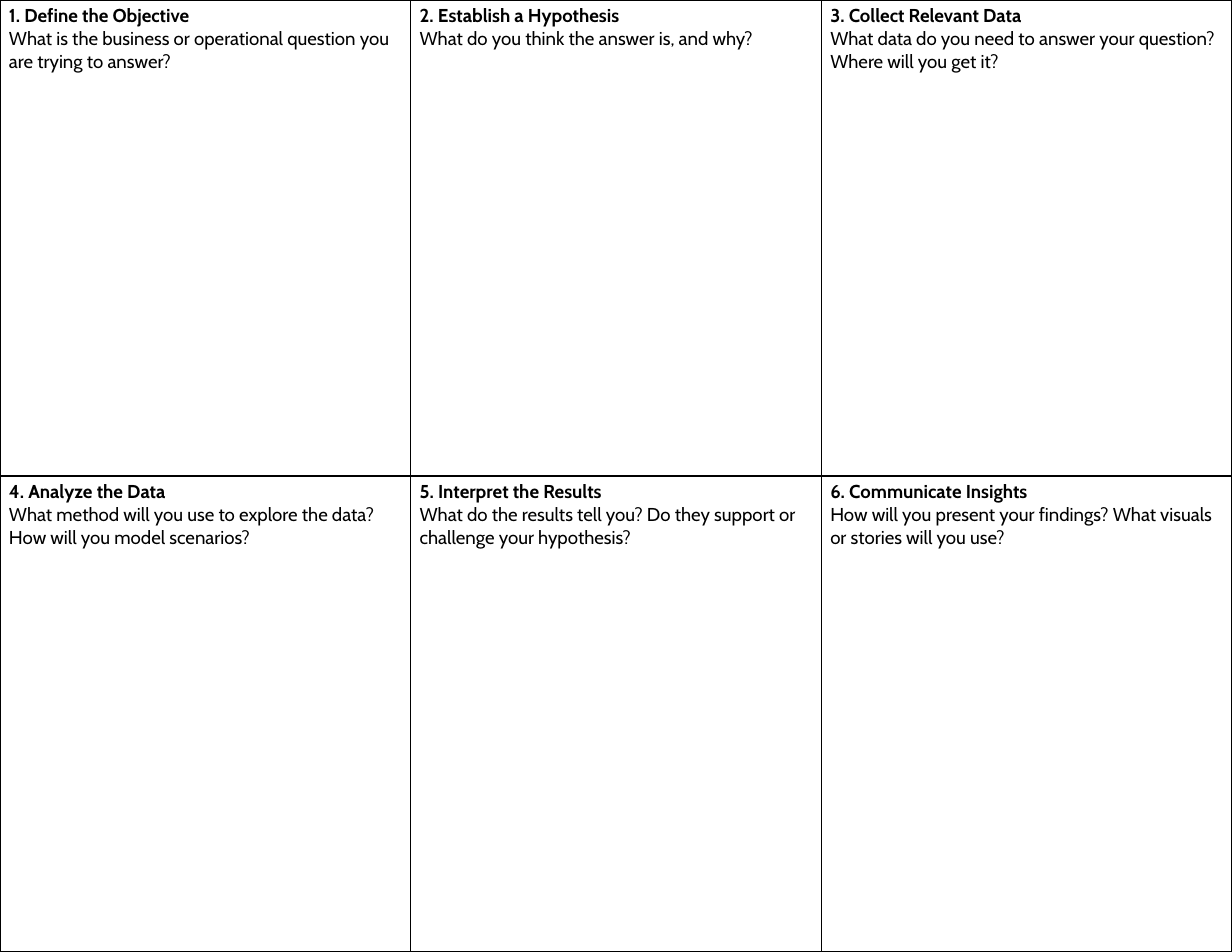
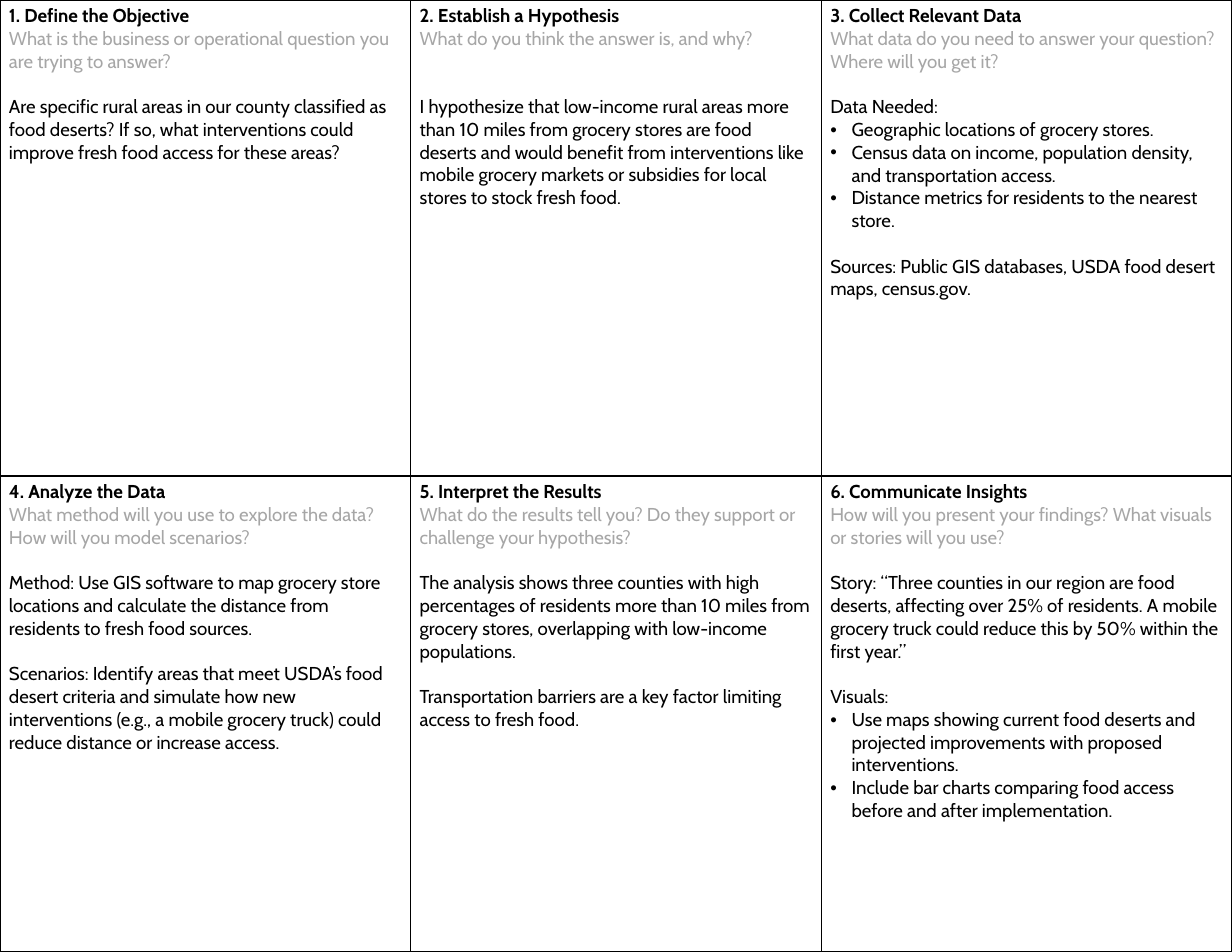
from dataclasses import dataclass
from itertools import product

from lxml import etree
from pptx import Presentation
from pptx.dml.color import RGBColor as RGB
from pptx.oxml.ns import qn
from pptx.util import Inches, Pt


@dataclass(frozen=True)
class Theme:
    font: str = "Cabin"
    size: int = 12
    line_height: float = 14.6
    black: str = "000000"
    grey: str = "A6A6A6"
    border: int = 1
    inset_x: float = 0.08
    inset_y: float = 0.04
    indent: float = 0.19


@dataclass(frozen=True)
class Step:
    title: str
    question: str
    # Each block is a lead paragraph followed by its bullets
    blocks: list
    # Blank lines between the question and the first block
    first_gap: int = 1


THEME = Theme()
WIDTH, HEIGHT = 11, 8.5
COLS, ROWS = 3, 2

STEPS = [
    Step("Define the Objective",
         "What is the business or operational question you are trying to answer?",
         [["Are specific rural areas in our county classified as food deserts? "
           "If so, what interventions could improve fresh food access for these areas?"]]),
    Step("Establish a Hypothesis",
         "What do you think the answer is, and why?",
         [["I hypothesize that low-income rural areas more than 10 miles from grocery "
           "stores are food deserts and would benefit from interventions like mobile "
           "grocery markets or subsidies for local stores to stock fresh food."]],
         first_gap=2),
    Step("Collect Relevant Data",
         "What data do you need to answer your question? Where will you get it?",
         [["Data Needed:",
           "Geographic locations of grocery stores.",
           "Census data on income, population density, and transportation access.",
           "Distance metrics for residents to the nearest store."],
          ["Sources: Public GIS databases, USDA food desert maps, census.gov."]]),
    Step("Analyze the Data",
         "What method will you use to explore the data? How will you model scenarios?",
         [["Method: Use GIS software to map grocery store locations and calculate "
           "the distance from residents to fresh food sources."],
          ["Scenarios: Identify areas that meet USDA’s food desert criteria and "
           "simulate how new interventions (e.g., a mobile grocery truck) could "
           "reduce distance or increase access."]]),
    Step("Interpret the Results",
         "What do the results tell you? Do they support or challenge your hypothesis?",
         [["The analysis shows three counties with high percentages of residents more "
           "than 10 miles from grocery stores, overlapping with low-income populations."],
          ["Transportation barriers are a key factor limiting access to fresh food."]]),
    Step("Communicate Insights",
         "How will you present your findings? What visuals or stories will you use?",
         [["Story: “Three counties in our region are food deserts, affecting over 25% "
           "of residents. A mobile grocery truck could reduce this by 50% within the "
           "first year.”"],
          ["Visuals:",
           "Use maps showing current food deserts and projected improvements with "
           "proposed interventions.",
           "Include bar charts comparing food access before and after implementation."]]),
]


# Text
def add_bullet(p):
    pPr = p._p.get_or_add_pPr()
    pPr.set("marL", str(Inches(THEME.indent)))
    pPr.set("indent", str(-Inches(THEME.indent)))
    etree.SubElement(pPr, qn("a:buFont"), typeface="Arial")
    etree.SubElement(pPr, qn("a:buChar"), char="•")


def add_text(tf, text, color=THEME.black, bold=False, gap=0, bullet=False):
    p = tf.paragraphs[0] if not tf.text else tf.add_paragraph()
    p.space_before = Pt(gap * THEME.line_height)
    if bullet:
        add_bullet(p)
    r = p.add_run()
    r.text = text
    r.font.name = THEME.font
    r.font.size = Pt(THEME.size)
    r.font.bold = bold
    r.font.color.rgb = RGB.from_string(color)


# Table cells
def style_cell(cell):
    cell.margin_left = cell.margin_right = Inches(THEME.inset_x)
    cell.margin_top = cell.margin_bottom = Inches(THEME.inset_y)
    tcPr = cell._tc.get_or_add_tcPr()
    for side in ("lnL", "lnR", "lnT", "lnB"):
        ln = etree.SubElement(tcPr, qn(f"a:{side}"), w=str(Pt(THEME.border)))
        fill = etree.SubElement(ln, qn("a:solidFill"))
        etree.SubElement(fill, qn("a:srgbClr"), val=THEME.black)
    cell.fill.background()


def fill_cell(cell, number, step, answered):
    tf = cell.text_frame
    add_text(tf, f"{number}. {step.title}", bold=True)
    add_text(tf, step.question, color=THEME.grey if answered else THEME.black)
    if not answered:
        return
    for i, (lead, *bullets) in enumerate(step.blocks):
        add_text(tf, lead, gap=1 if i else step.first_gap)
        for bullet in bullets:
            add_text(tf, bullet, bullet=True)


# Slide with the six-step grid
def add_worksheet(prs, answered):
    s = prs.slides.add_slide(prs.slide_layouts[6])
    table = s.shapes.add_table(ROWS, COLS, 0, 0, Inches(WIDTH), Inches(HEIGHT)).table
    table.first_row = table.horz_banding = False
    cells = product(range(ROWS), range(COLS))
    for number, ((row, col), step) in enumerate(zip(cells, STEPS), 1):
        cell = table.cell(row, col)
        style_cell(cell)
        fill_cell(cell, number, step, answered)


def main():
    prs = Presentation()
    prs.slide_width, prs.slide_height = Inches(WIDTH), Inches(HEIGHT)
    for answered in (False, True):
        add_worksheet(prs, answered)
    prs.save("out.pptx")


if __name__ == "__main__":
    main()
